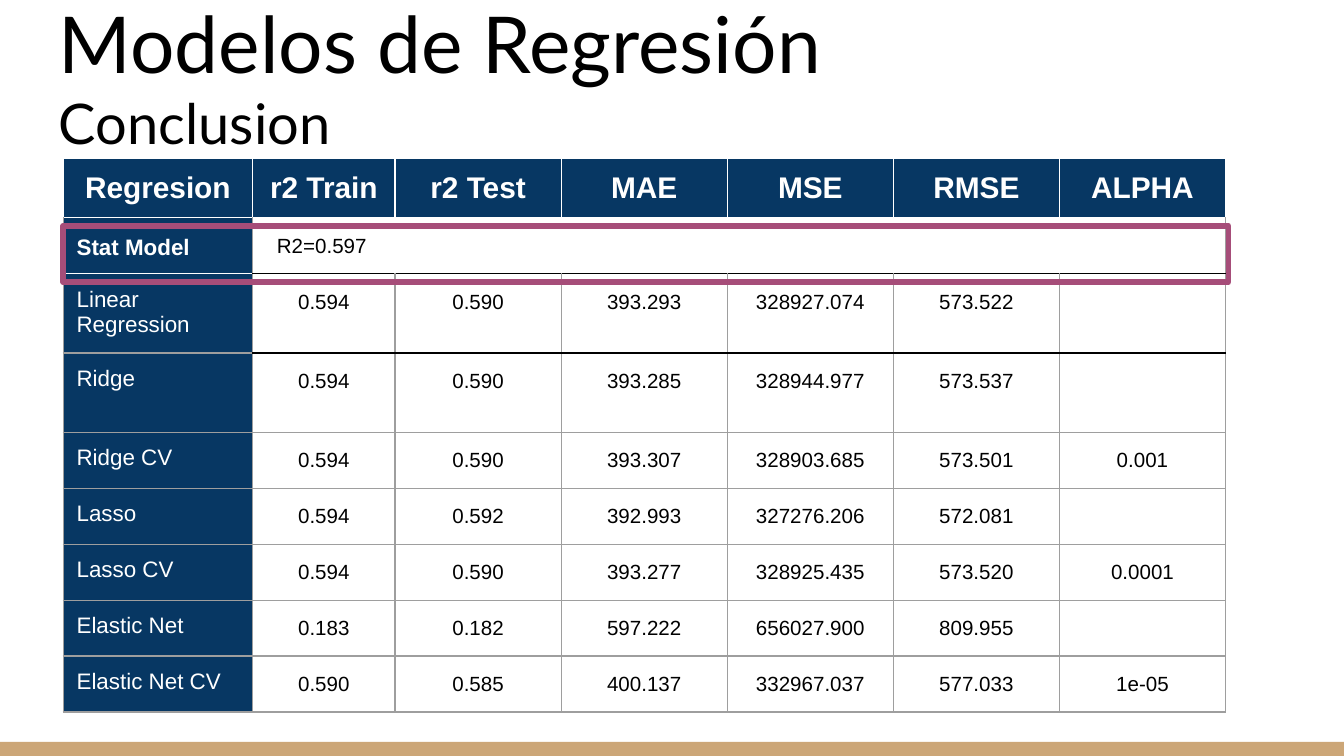
from typing import NamedTuple, Optional

from lxml.etree import SubElement
from pptx import Presentation
from pptx.dml.color import RGBColor
from pptx.enum.shapes import MSO_SHAPE
from pptx.enum.text import MSO_ANCHOR, PP_ALIGN
from pptx.oxml.ns import qn
from pptx.util import Inches, Pt

NAVY, WHITE, BLACK, GREY = "073763", "FFFFFF", "000000", "9E9E9E"
SAND, PLUM = "CCA677", "A64D79"

HEADERS = ["Regresion", "r2 Train", "r2 Test", "MAE", "MSE", "RMSE", "ALPHA"]
TABLE_WIDTH, FIRST_WIDTHS = 8.65, [1.41, 1.06]
OTHER_WIDTH = (TABLE_WIDTH - sum(FIRST_WIDTHS)) / 5
COLUMN_WIDTHS = FIRST_WIDTHS + [OTHER_WIDTH] * 5
HEADER_HEIGHT, ROW_HEIGHT, TALL_HEIGHT = 0.44, 5 / 12, 0.59
STAT_ROW, LINEAR_ROW = 1, 2


class Model(NamedTuple):
    name: str
    r2_train: str
    r2_test: str = ""
    mae: str = ""
    mse: str = ""
    rmse: str = ""
    alpha: str = ""
    height: float = ROW_HEIGHT


class TextStyle(NamedTuple):
    size: float
    color: str
    font: str = "Arial"
    bold: bool = False
    align: PP_ALIGN = PP_ALIGN.LEFT
    line_spacing: Optional[float] = None


MODELS = [
    Model("Stat Model", "R2=0.597"),
    Model("Linear Regression", "0.594", "0.590", "393.293", "328927.074", "573.522",
          height=TALL_HEIGHT),
    Model("Ridge", "0.594", "0.590", "393.285", "328944.977", "573.537", height=TALL_HEIGHT),
    Model("Ridge CV", "0.594", "0.590", "393.307", "328903.685", "573.501", "0.001"),
    Model("Lasso", "0.594", "0.592", "392.993", "327276.206", "572.081"),
    Model("Lasso CV", "0.594", "0.590", "393.277", "328925.435", "573.520", "0.0001"),
    Model("Elastic Net", "0.183", "0.182", "597.222", "656027.900", "809.955"),
    Model("Elastic Net CV", "0.590", "0.585", "400.137", "332967.037", "577.033", "1e-05"),
]

HEADER_STYLE = TextStyle(16, WHITE, bold=True, align=PP_ALIGN.CENTER)
STAT_NAME_STYLE = TextStyle(12, WHITE, bold=True, line_spacing=1.15)
STAT_VALUE_STYLE = TextStyle(11, BLACK, line_spacing=1.15)
NAME_STYLE = TextStyle(12, WHITE)
VALUE_STYLE = TextStyle(11, BLACK, align=PP_ALIGN.CENTER, line_spacing=1.15)


def rgb(color: str) -> RGBColor:
    return RGBColor.from_string(color)


def write(paragraph, text: str, style: TextStyle) -> None:
    paragraph.alignment = style.align
    if style.line_spacing:
        paragraph.line_spacing = style.line_spacing
    if not text:
        # Keeps an empty cell from growing to the default text size.
        SubElement(paragraph._p, qn("a:endParaRPr"), sz=str(int(style.size * 100)))
        return
    run = paragraph.add_run()
    run.text = text
    run.font.name = style.font
    run.font.size = Pt(style.size)
    run.font.bold = style.bold
    run.font.color.rgb = rgb(style.color)


def add_rectangle(slide, left: float, top: float, width: float, height: float,
                  fill: Optional[str] = None, line: Optional[str] = None) -> None:
    shape = slide.shapes.add_shape(MSO_SHAPE.RECTANGLE, Inches(left), Inches(top),
                                   Inches(width), Inches(height))
    shape.shadow.inherit = False
    if fill:
        shape.fill.solid()
        shape.fill.fore_color.rgb = rgb(fill)
    else:
        shape.fill.background()
    if line:
        shape.line.color.rgb = rgb(line)
        shape.line.width = Pt(3)
    else:
        shape.line.fill.background()


def add_title(slide) -> None:
    box = slide.shapes.add_textbox(Inches(0.34), Inches(0.35), Inches(9.32), Inches(0.91))
    frame = box.text_frame
    frame.word_wrap = True
    frame.vertical_anchor = MSO_ANCHOR.BOTTOM
    frame.margin_left = frame.margin_right = Inches(0.1)
    frame.margin_top = frame.margin_bottom = Inches(0.1)
    write(frame.paragraphs[0], "Modelos de Regresión", TextStyle(42, BLACK, "Lato"))
    write(frame.add_paragraph(), "Conclusion", TextStyle(30, BLACK, "Lato"))


def set_borders(cell, row: int, column: int) -> None:
    """White round the header, black under the first two models' values, grey elsewhere."""
    def below(upper_row: int) -> tuple[str, float]:
        if upper_row <= 0 or (upper_row == STAT_ROW and column == 0):
            return WHITE, 0.75
        if upper_row in (STAT_ROW, LINEAR_ROW) and column > 0:
            return BLACK, 1 if upper_row == STAT_ROW else 0.75
        return GREY, 0.75

    side = (WHITE if row == 0 else GREY, 0.75)
    borders = {"a:lnL": side, "a:lnR": side, "a:lnT": below(row - 1), "a:lnB": below(row)}
    properties = cell._tc.get_or_add_tcPr()
    for tag, (color, width) in borders.items():
        line = SubElement(properties, qn(tag), w=str(Pt(width)))
        SubElement(SubElement(line, qn("a:solidFill")), qn("a:srgbClr"), val=color)


def cell_style(row: int, column: int) -> TextStyle:
    if row == 0:
        return HEADER_STYLE
    if row == STAT_ROW:
        return STAT_NAME_STYLE if column == 0 else STAT_VALUE_STYLE
    return NAME_STYLE if column == 0 else VALUE_STYLE


def fill_cell(cell, row: int, column: int, text: str) -> None:
    cell.margin_left = cell.margin_right = cell.margin_top = Inches(0.1)
    cell.margin_bottom = Inches(0.07)
    set_borders(cell, row, column)
    if row == 0 or column == 0:
        cell.fill.solid()
        cell.fill.fore_color.rgb = rgb(NAVY)
    else:
        cell.fill.background()
    write(cell.text_frame.paragraphs[0], text, cell_style(row, column))


def add_model_table(slide) -> None:
    rows = [HEADERS] + [list(model[:len(HEADERS)]) for model in MODELS]
    heights = [HEADER_HEIGHT] + [model.height for model in MODELS]
    table = slide.shapes.add_table(len(rows), len(HEADERS), Inches(0.47), Inches(1.18),
                                   Inches(TABLE_WIDTH), Inches(sum(heights))).table
    table.first_row = table.horz_banding = False
    for column, width in zip(table.columns, COLUMN_WIDTHS):
        column.width = Inches(width)
    for row_index, (texts, height) in enumerate(zip(rows, heights)):
        table.rows[row_index].height = Inches(height)
        for column_index, text in enumerate(texts):
            fill_cell(table.cell(row_index, column_index), row_index, column_index, text)
    stat_value = table.cell(STAT_ROW, 1)
    stat_value.merge(table.cell(STAT_ROW, len(HEADERS) - 1))
    stat_value.margin_left = Inches(0.18)


def main() -> None:
    presentation = Presentation()
    presentation.slide_width = Inches(10)
    presentation.slide_height = Inches(10 * 9 / 16)
    slide = presentation.slides.add_slide(presentation.slide_layouts[6])
    add_rectangle(slide, 0, 5.52, 10, 0.11, fill=SAND)
    add_title(slide)
    add_model_table(slide)
    add_rectangle(slide, 0.47, 1.68, 8.67, 0.42, line=PLUM)
    presentation.save("out.pptx")


if __name__ == "__main__":
    main()
